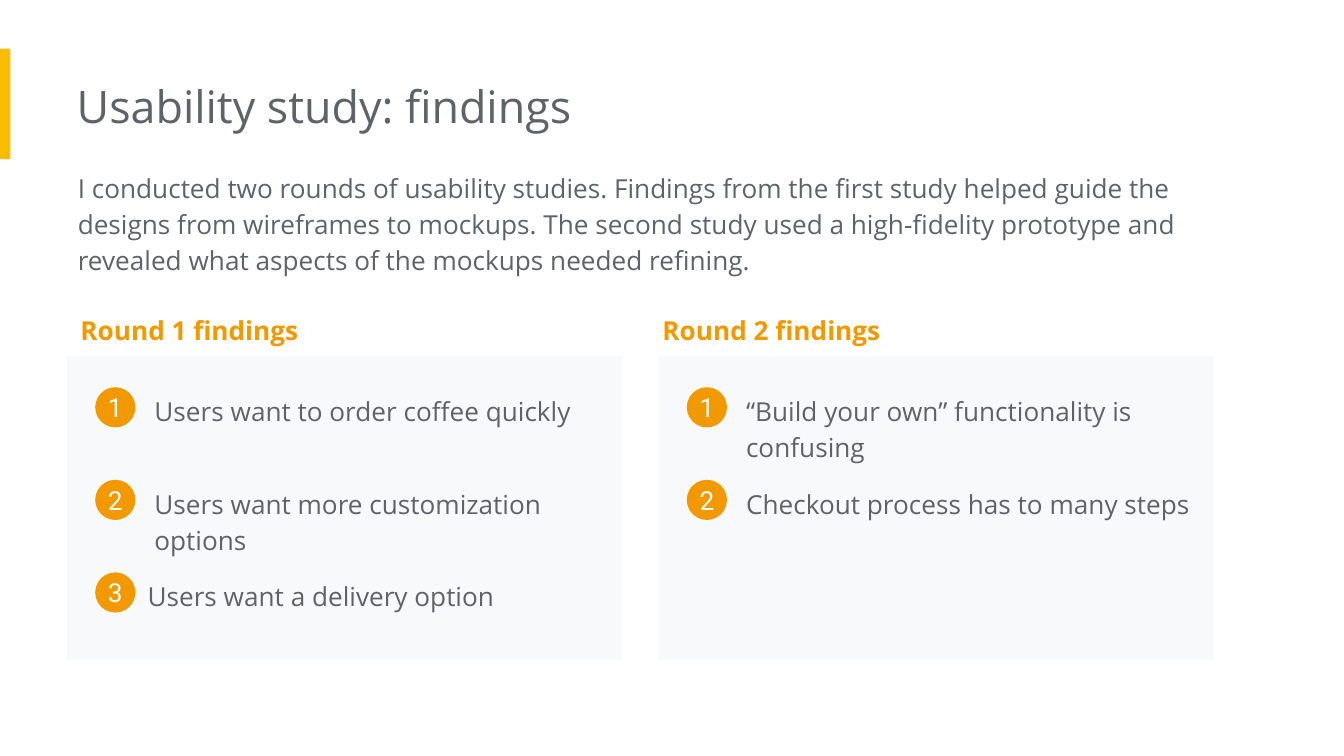
from dataclasses import dataclass

from pptx import Presentation
from pptx.dml.color import RGBColor
from pptx.enum.shapes import MSO_SHAPE
from pptx.enum.text import MSO_ANCHOR, PP_ALIGN
from pptx.oxml.ns import qn
from pptx.shapes.base import BaseShape
from pptx.slide import Slide
from pptx.text.text import TextFrame
from pptx.util import Cm, Pt

COLORS = {
    "accent": "FBBC04",
    "orange": "F29900",
    "panel": "F8F9FA",
    "text": "5F6368",
    "white": "FFFFFF",
}
INSET = 0.25
PANEL_TOP, PANEL_WIDTH, PANEL_HEIGHT = 6.73, 10.49, 5.74
HEADING_TOP = 5.61
TEXT_WIDTH, LINE_HEIGHT = 9.27, 1.12
BADGE_SIZE, BADGE_OFFSET = 0.76, 0.53
FIRST_BADGE_TOP, FIRST_TEXT_TOP, ROW_STEP = 7.32, 7.14, 1.75


@dataclass
class Finding:
    text: str
    height: float = LINE_HEIGHT
    offset: float = 1.4


@dataclass
class Round:
    heading: str
    heading_left: float
    panel_left: float
    findings: list[Finding]


ROUNDS = [
    Round("Round 1 findings", 1.27, 1.27, [
        Finding("Users want to order coffee quickly"),
        Finding("Users want more customization options", height=1.8),
        Finding("Users want a delivery option", offset=1.27),
    ]),
    Round("Round 2 findings", 12.27, 12.45, [
        Finding("“Build your own” functionality is confusing", height=2.49),
        Finding("Checkout process has to many steps"),
    ]),
]


def place(shape: BaseShape, left: float, top: float, width: float, height: float) -> None:
    shape.left, shape.top = Cm(left), Cm(top)
    shape.width, shape.height = Cm(width), Cm(height)


def write(frame: TextFrame, text: str, color: str = "text", size: float = 14,
          font: str = "Open Sans", bold: bool = False, inset_left: float = INSET,
          inset: float = INSET, spacing: float = 1.15,
          anchor: MSO_ANCHOR = MSO_ANCHOR.TOP,
          alignment: PP_ALIGN = PP_ALIGN.LEFT) -> None:
    frame.word_wrap = True
    frame.vertical_anchor = anchor
    frame.margin_left = Cm(inset_left)
    frame.margin_top = frame.margin_right = frame.margin_bottom = Cm(inset)
    frame.text = text
    paragraph = frame.paragraphs[0]
    paragraph.alignment = alignment
    paragraph.line_spacing = spacing
    paragraph.space_before = Pt(0)
    paragraph.font.name = font
    paragraph.font.size = Pt(size)
    paragraph.font.bold = bold
    paragraph.font.color.rgb = RGBColor.from_string(COLORS[color])


def add_filled(slide: Slide, kind: MSO_SHAPE, left: float, top: float,
               width: float, height: float, color: str) -> BaseShape:
    shape = slide.shapes.add_shape(kind, Cm(left), Cm(top), Cm(width), Cm(height))
    shape.shadow.inherit = False
    shape.fill.solid()
    shape.fill.fore_color.rgb = RGBColor.from_string(COLORS[color])
    shape.line.fill.background()
    return shape


def add_text(slide: Slide, text: str, left: float, top: float, height: float = LINE_HEIGHT,
             color: str = "text", bold: bool = False) -> None:
    box = slide.shapes.add_textbox(Cm(left), Cm(top), Cm(TEXT_WIDTH), Cm(height))
    write(box.text_frame, text, color=color, bold=bold)


def add_round(slide: Slide, study: Round) -> None:
    add_filled(slide, MSO_SHAPE.RECTANGLE, study.panel_left, PANEL_TOP,
               PANEL_WIDTH, PANEL_HEIGHT, "panel")
    add_text(slide, study.heading, study.heading_left, HEADING_TOP,
             color="orange", bold=True)
    for index, finding in enumerate(study.findings):
        shift = index * ROW_STEP
        add_text(slide, finding.text, study.panel_left + finding.offset,
                 FIRST_TEXT_TOP + shift, finding.height)
        badge = add_filled(slide, MSO_SHAPE.OVAL, study.panel_left + BADGE_OFFSET,
                           FIRST_BADGE_TOP + shift, BADGE_SIZE, BADGE_SIZE, "orange")
        write(badge.text_frame, str(index + 1), color="white", font="Roboto",
              inset_left=0, inset=0, spacing=1.0,
              anchor=MSO_ANCHOR.MIDDLE, alignment=PP_ALIGN.CENTER)


def add_intro(slide: Slide) -> None:
    title, body = slide.shapes.title, slide.placeholders[1]
    place(title, 1.45, 1.24, 17.09, 1.55)
    write(title.text_frame, "Usability study: findings", size=24, inset_left=0, spacing=1.0)
    place(body, 1.47, 2.92, 21.87, 2.49)
    write(body.text_frame,
          "I conducted two rounds of usability studies. Findings from the first study "
          "helped guide the designs from wireframes to mockups. The second study used a "
          "high-fidelity prototype and revealed what aspects of the mockups needed refining.",
          inset_left=0)
    properties = body.text_frame.paragraphs[0]._p.get_or_add_pPr()
    properties.set("marL", "0")
    properties.set("indent", "0")
    bullet = properties.makeelement(qn("a:buNone"), {})
    properties.find(qn("a:spcBef")).addnext(bullet)


def main() -> None:
    presentation = Presentation()
    presentation.slide_width, presentation.slide_height = Cm(25.4), Cm(14.29)
    slide = presentation.slides.add_slide(presentation.slide_layouts[1])
    add_filled(slide, MSO_SHAPE.RECTANGLE, 0, 0.92, 0.2, 2.09, "accent")
    add_intro(slide)
    for study in ROUNDS:
        add_round(slide, study)
    presentation.save("out.pptx")


if __name__ == "__main__":
    main()
